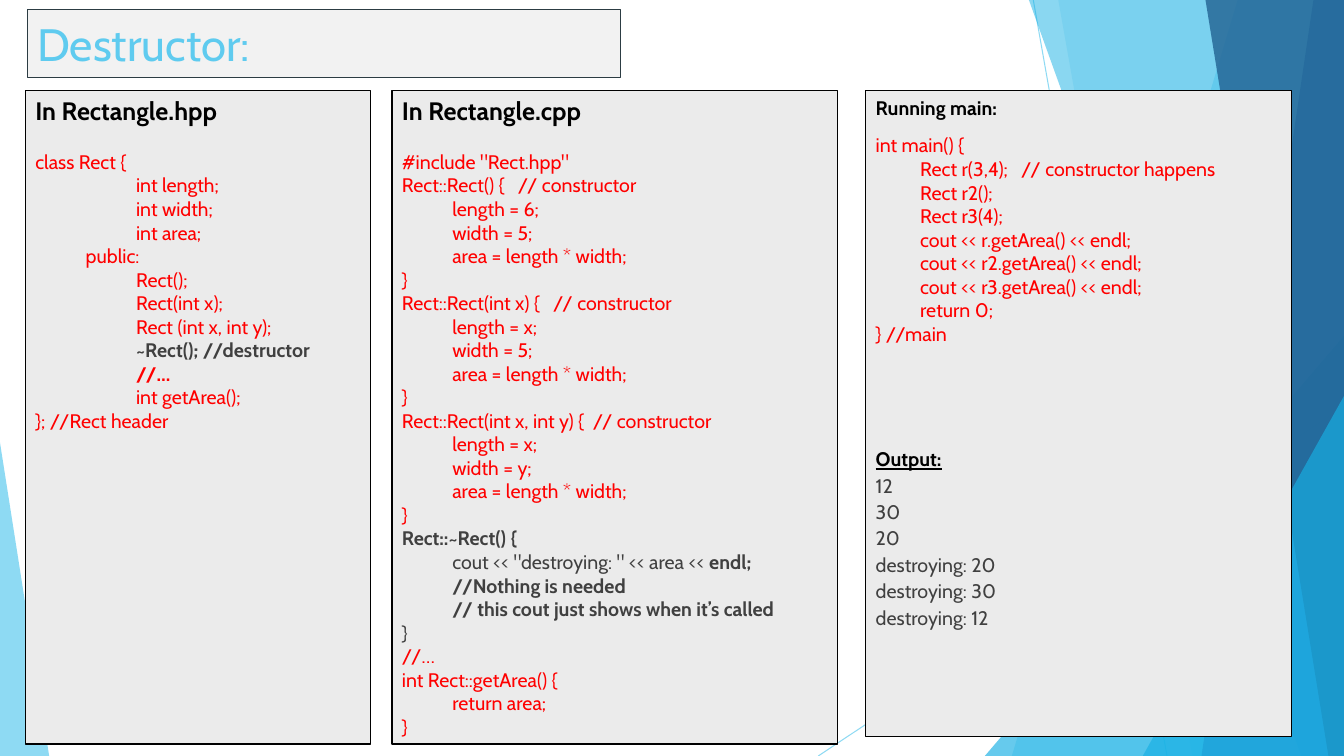
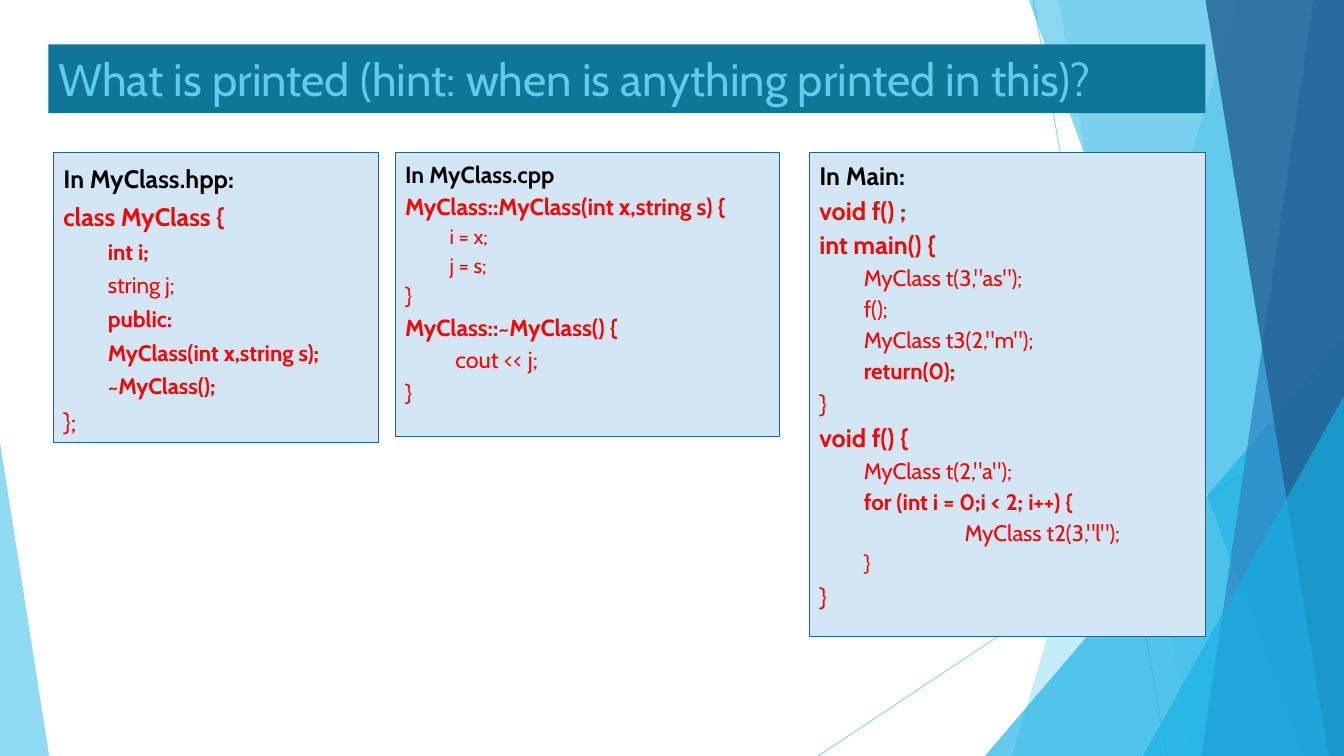
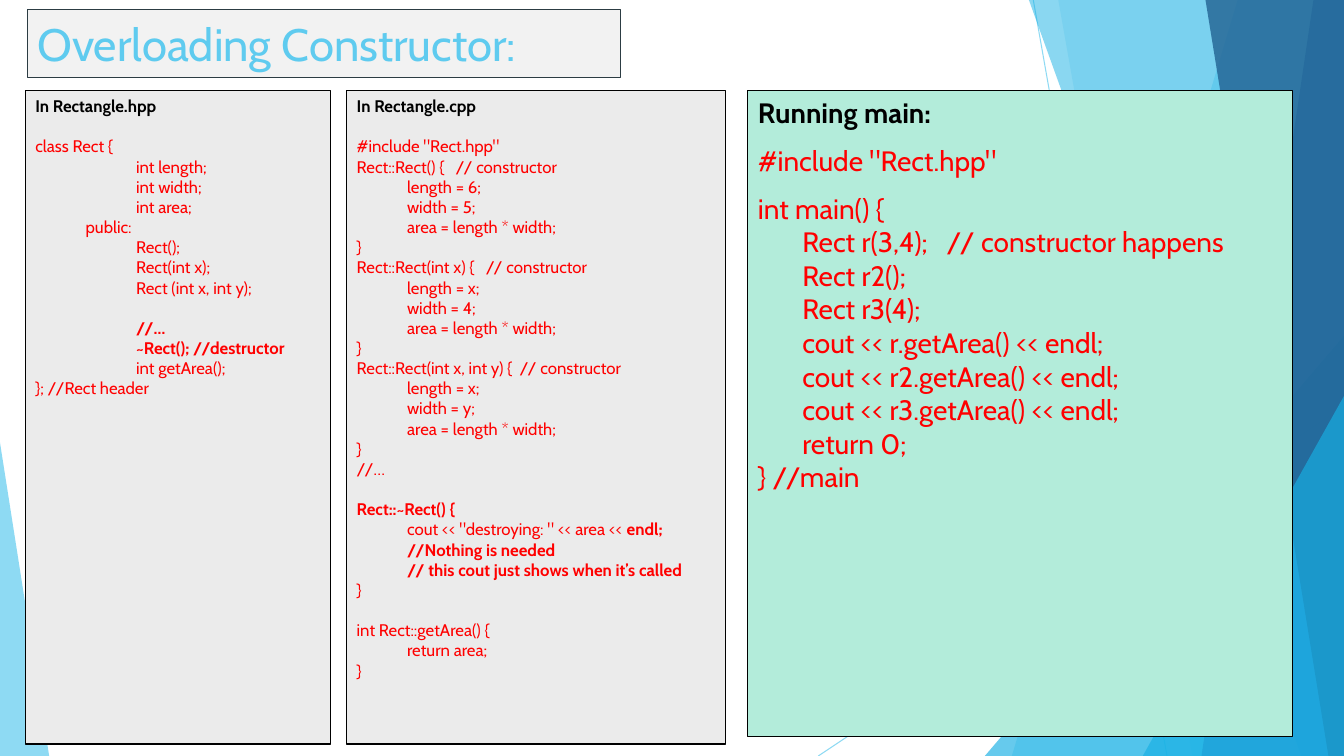
import pptx
import pptx.dml.color
import pptx.enum.shapes
import pptx.enum.text
import pptx.oxml.ns
import pptx.util
from lxml import etree

Cm = pptx.util.Cm
Pt = pptx.util.Pt
qn = pptx.oxml.ns.qn
Preset = pptx.enum.shapes.MSO_SHAPE
Anchor = pptx.enum.text.MSO_ANCHOR

WIDTH, HEIGHT = 33.87, 19.05
FONT = "Cabin"
SKY, BLUE, NAVY, BLACK = "5FCBEF", "17B0E4", "226292", "000000"
RED, DARK = "FF0000", "404040"
GREY, PALE_BLUE, MINT = "EBEBEB", "D3E6F5", "B3ECDA"
LEVEL, TAB = 1.12, 1.27

# Four leading spaces are one indent level; ** switches bold on and off.
CLASS_FIELDS = """class Rect {
        int length;
        int width;
        int area;
    public:
        Rect();
        Rect(int x);
        Rect (int x, int y);"""

CLASS_END = """        int getArea();
}; //Rect header"""

DESTRUCTOR = """**Rect::~Rect() {**
    cout << "destroying: " << area << **endl;**
    **//Nothing is needed**
    **// this cout just shows when it’s called**
}"""

GET_AREA = """int Rect::getArea() {
    return area;
}"""

RECT_MAIN = """int main() {
    Rect r(3,4);   // constructor happens
    Rect r2();
    Rect r3(4);
    cout << r.getArea() << endl;
    cout << r2.getArea() << endl;
    cout << r3.getArea() << endl;
    return 0;
} //main"""

RESULTS = """12
30
20
destroying: 20
destroying: 30
destroying: 12"""

MYCLASS_HEADER = """**class MyClass {**
    **int i;**
    string j;
    **public:**
    **MyClass(int x,string s);**
    **~MyClass();**
};"""

MYCLASS_CONSTRUCTOR = """**MyClass::MyClass(int x,string s) {**
    i = x;
    j = s;
}
**MyClass::~MyClass() {**"""

MYCLASS_MAIN = """**void f() ;**
**int main() {**
    MyClass t(3,"as");
    f();
    MyClass t3(2,"m");
    **return(0);**
}
**void f() {**
    MyClass t(2,"a");
    **for (int i = 0;i < 2; i++) {**"""


def constructors(default_width):
    return f"""#include "Rect.hpp"
Rect::Rect() {{   // constructor
    length = 6;
    width = 5;
    area = length * width;
}}
Rect::Rect(int x) {{   // constructor
    length = x;
    width = {default_width};
    area = length * width;
}}
Rect::Rect(int x, int y) {{  // constructor
    length = x;
    width = y;
    area = length * width;
}}"""


def rgb(code):
    return pptx.dml.color.RGBColor.from_string(code)


def apply(target, values):
    for name, value in values.items():
        setattr(target, name, value)


def set_alpha(element, percent):
    for colour in element.spPr.iter(qn("a:srgbClr")):
        etree.SubElement(colour, qn("a:alpha"), val=str(percent * 1000))


def block(text, color=RED, **options):
    """Lines of one colour; gap goes before the first line, before goes before the others."""
    return {"text": text, "color": color, **options}


def heading(text, **options):
    return block(f"**{text}**", BLACK, **options)


class Slides:
    def __init__(self):
        self.deck = pptx.Presentation()
        apply(self.deck, {"slide_width": Cm(WIDTH), "slide_height": Cm(HEIGHT)})
        self.page = None

    def new_page(self):
        self.page = self.deck.slides.add_slide(self.deck.slide_layouts[6])
        self.ray(26.04, 0, 29.41)
        self.ray(WIDTH, 10.24, 20.62)
        self.facet(31.19, 25.5, SKY, 36)
        self.facet(26.67, 30.05, SKY, 20)
        self.triangle(24.82, 8.46, 9.05, 1, BLUE, 66)
        self.facet(25.93, 32.79, BLUE, 50)
        self.facet(33.1, 30.28, "2E83C3", 70)
        self.facet(30.38, 33.48, NAVY, 80)
        self.triangle(28.8, 9.98, 5.07, 1, BLUE, 66)
        self.triangle(0, 11.15, 1.24, 0, SKY, 70)

    def paint(self, shape, fill, line=None, alpha=None):
        shape.shadow.inherit = False
        shape.fill.solid()
        shape.fill.fore_color.rgb = rgb(fill)
        if line:
            shape.line.color.rgb = rgb(line)
            shape.line.width = Pt(0.75)
        else:
            shape.line.fill.background()
        if alpha:
            set_alpha(shape._element, alpha)

    def ray(self, x, y, end_x):
        """Thin line that ends at the bottom edge."""
        line = self.page.shapes.add_connector(
            pptx.enum.shapes.MSO_CONNECTOR.STRAIGHT, Cm(x), Cm(y), Cm(end_x), Cm(HEIGHT))
        line.line.color.rgb = rgb(SKY)
        line.line.width = Pt(0.75)
        set_alpha(line._element, 70)
        etree.SubElement(line._element.spPr, qn("a:effectLst"))

    def facet(self, top_x, bottom_x, color, alpha):
        """Full-height shape from a slanted left side to the right edge."""
        outline = self.page.shapes.build_freeform(Cm(top_x), 0)
        corners = [(WIDTH, 0), (WIDTH, HEIGHT), (bottom_x, HEIGHT)]
        outline.add_line_segments([(Cm(x), Cm(y)) for x, y in corners], close=True)
        self.paint(outline.convert_to_shape(), color, alpha=alpha)

    def triangle(self, left, top, width, peak, color, alpha):
        shape = self.page.shapes.add_shape(
            Preset.ISOSCELES_TRIANGLE, Cm(left), Cm(top), Cm(width), Cm(HEIGHT - top))
        shape.adjustments[0] = peak
        self.paint(shape, color, alpha=alpha)

    def text_box(self, place, fill, line, anchor):
        box = self.page.shapes.add_shape(Preset.RECTANGLE, *map(Cm, place))
        self.paint(box, fill, line)
        apply(box.text_frame, {"word_wrap": True, "vertical_anchor": anchor})
        return box.text_frame

    def add_spans(self, para, text, size, color, underline=False):
        para.alignment = pptx.enum.text.PP_ALIGN.LEFT
        for number, part in enumerate(text.split("**")):
            if part:
                span = para.add_run()
                span.text = part
                apply(span.font, {"name": FONT, "size": Pt(size), "bold": number % 2 == 1,
                                  "underline": underline})
                span.font.color.rgb = rgb(color)

    def title(self, text, place=(0.69, 0.25, 14.96, 1.7), fill="F2F2F2", line="2C3C43"):
        frame = self.text_box(place, fill, line, Anchor.MIDDLE)
        self.add_spans(frame.paragraphs[0], text, 32.4, SKY)

    def panel(self, place, size, blocks, fill=GREY, line=BLACK, inner=None,
              step=LEVEL, before=0, spacing=1.0):
        """Box of code; inner is the text size of indented lines."""
        frame = self.text_box(place, fill, line, Anchor.TOP)
        para = None
        for part in blocks:
            usual = part.get("before", before)
            for number, text in enumerate(part["text"].split("\n")):
                code = text.lstrip(" ")
                level = (len(text) - len(code)) // 4
                space = usual if number else part.get("gap", usual)
                if para is None:
                    para, space = frame.paragraphs[0], 0
                else:
                    para = frame.add_paragraph()
                apply(para, {"space_before": Pt(space), "line_spacing": spacing})
                indent = Cm(level * part.get("step", step))
                para._p.get_or_add_pPr().set("marL", str(indent))
                line_size = part.get("size", inner if inner and level else size)
                self.add_spans(para, code, line_size, part["color"],
                               part.get("underline", False))


def destructor_page(slides):
    slides.new_page()
    slides.title("Destructor:")
    slides.panel((0.64, 2.29, 8.69, 16.46), 14, [
        heading("In Rectangle.hpp", size=18),
        block(CLASS_FIELDS, gap=17),
        block("        **~Rect(); //destructor**", DARK),
        block("        **//…**\n" + CLASS_END),
    ], step=TAB)
    slides.panel((9.88, 2.29, 11.23, 16.46), 14, [
        heading("In Rectangle.cpp", size=18),
        block(constructors(5), gap=17),
        block(DESTRUCTOR, DARK),
        block("//…\n" + GET_AREA),
    ], step=TAB)
    slides.panel((21.82, 2.29, 10.74, 16.28), 14, [
        heading("Running main:"),
        block(RECT_MAIN, gap=10),
        heading("Output:", gap=73, underline=True),
        block(RESULTS, DARK, before=2),
    ])


def quiz_page(slides):
    slides.new_page()
    slides.title("What is printed (hint: when is anything printed in this)?",
                 (1.22, 1.12, 29.16, 1.73), "0F7698", None)
    look = {"fill": PALE_BLUE, "line": NAVY, "before": 1}
    slides.panel((1.35, 3.84, 8.2, 7.32), 18, [
        heading("In MyClass.hpp:"),
        block(MYCLASS_HEADER),
    ], inner=16, spacing=1.2, **look)
    slides.panel((9.96, 3.84, 9.68, 7.16), 16.6, [
        heading("In MyClass.cpp"),
        block(MYCLASS_CONSTRUCTOR),
        block("    cout << j;\n}", step=TAB, size=16.6),
    ], inner=14.8, spacing=1.1, **look)
    slides.panel((20.4, 3.84, 9.98, 12.19), 18, [
        heading("In Main:"),
        block(MYCLASS_MAIN),
        block('    MyClass t2(3,"l");', step=LEVEL + 2 * TAB),
        block("    }\n}"),
    ], inner=16, spacing=1.1, **look)


def overloading_page(slides):
    slides.new_page()
    slides.title("Overloading Constructor:")
    slides.panel((0.64, 2.29, 7.7, 16.46), 12, [
        heading("In Rectangle.hpp"),
        block(CLASS_FIELDS, gap=14.4),
        block("        **//…**\n        **~Rect(); //destructor**\n" + CLASS_END, gap=14.4),
    ], step=TAB)
    slides.panel((8.74, 2.29, 9.55, 16.46), 12, [
        heading("In Rectangle.cpp"),
        block(constructors(4) + "\n//…", gap=14.4),
        block(DESTRUCTOR, gap=14.4),
        block(GET_AREA, gap=14.4),
    ], step=TAB)
    slides.panel((18.85, 2.29, 13.72, 16.28), 20, [
        heading("Running main:"),
        block('#include "Rect.hpp"', gap=10),
        block(RECT_MAIN, gap=10),
    ], fill=MINT)


def main():
    slides = Slides()
    destructor_page(slides)
    quiz_page(slides)
    overloading_page(slides)
    slides.deck.save("out.pptx")


if __name__ == "__main__":
    main()
